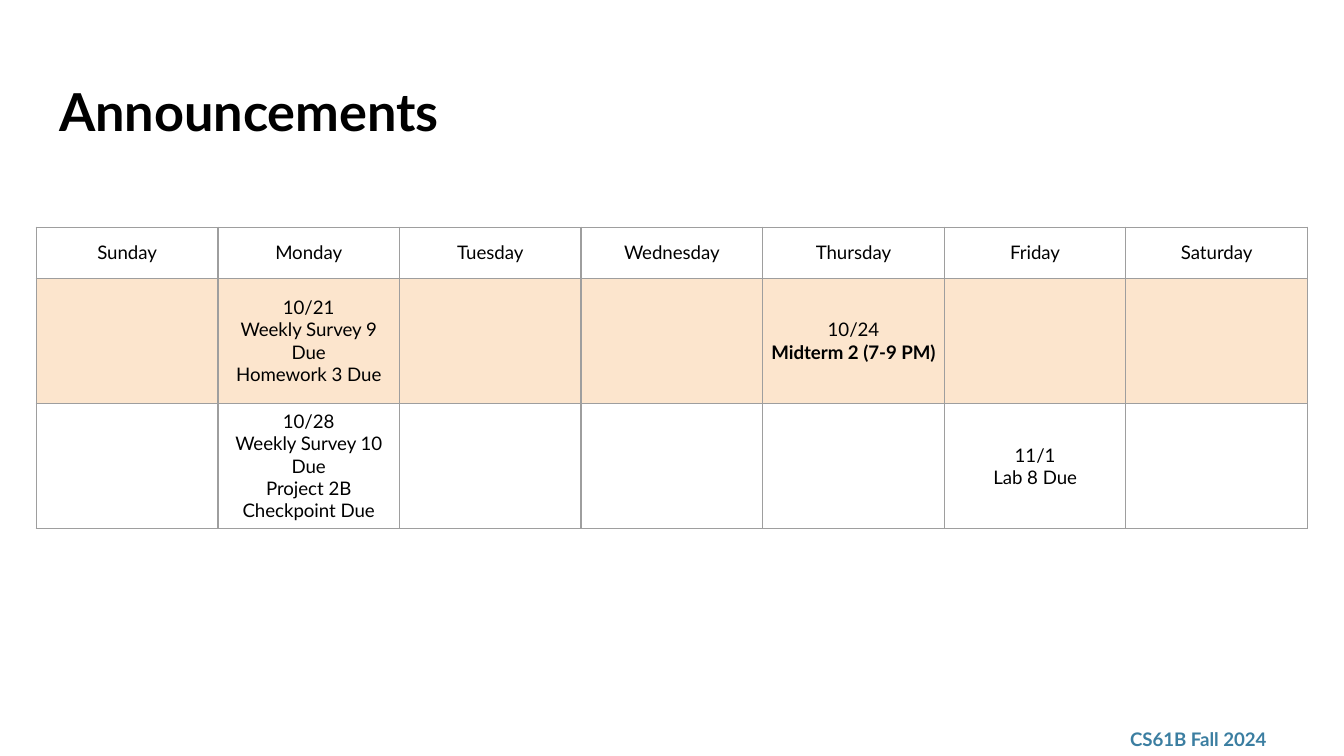
from lxml import etree
from pptx import Presentation
from pptx.dml.color import RGBColor
from pptx.enum.text import MSO_ANCHOR, PP_ALIGN
from pptx.oxml.ns import qn
from pptx.util import Inches, Pt

TOP, MIDDLE = MSO_ANCHOR.TOP, MSO_ANCHOR.MIDDLE
LEFT, CENTER = PP_ALIGN.LEFT, PP_ALIGN.CENTER
FONT = "Lato"
BLACK, BLUE, PEACH, GRAY = "000000", "3B7EA1", "FCE5CD", "9E9E9E"

SLIDE_WIDTH = 10
SLIDE_HEIGHT = SLIDE_WIDTH * 9 / 16
TABLE_LEFT, TABLE_TOP = 0.27, 1.69
DAYS = ["Sunday", "Monday", "Tuesday", "Wednesday", "Thursday", "Friday", "Saturday"]
COLUMN_WIDTH = (SLIDE_WIDTH - 2 * TABLE_LEFT) / len(DAYS)
ROW_HEIGHTS = [0.38, 0.93, 0.93]
# (week row, day) -> lines of the entry
EVENTS = {
    (1, "Monday"): ["10/21", "Weekly Survey 9 Due", "Homework 3 Due"],
    (1, "Thursday"): ["10/24", "Midterm 2 (7-9 PM)"],
    (2, "Monday"): ["10/28", "Weekly Survey 10 Due", "Project 2B Checkpoint Due"],
    (2, "Friday"): ["11/1", "Lab 8 Due"],
}
BOLD_LINES = {"Midterm 2 (7-9 PM)"}
CURRENT_WEEK = 1


def color(value):
    return RGBColor.from_string(value)


def set_attributes(target, values):
    for name, value in values.items():
        setattr(target, name, value)


def equal_margins(size):
    return {f"margin_{side}": Inches(size) for side in ("left", "top", "right", "bottom")}


def write_lines(frame, lines, size, shade=BLACK, bold=False, align=LEFT):
    """Write one paragraph per line into a text frame."""
    for index, line in enumerate(lines):
        para = frame.paragraphs[0] if index == 0 else frame.add_paragraph()
        para.alignment = align
        span = para.add_run()
        span.text = line
        set_attributes(span.font, {"name": FONT, "size": Pt(size),
                                   "bold": bold or line in BOLD_LINES})
        span.font.color.rgb = color(shade)


def format_box(box, place, anchor):
    sides = ("left", "top", "width", "height")
    set_attributes(box, {side: Inches(value) for side, value in zip(sides, place)})
    set_attributes(box.text_frame, {"word_wrap": True, "vertical_anchor": anchor,
                                    **equal_margins(0.1)})


def add_borders(cell):
    """Cell borders must stand before the fill in the cell properties."""
    properties = cell._tc.get_or_add_tcPr()
    for index, side in enumerate(("lnL", "lnR", "lnT", "lnB")):
        line = etree.Element(qn(f"a:{side}"), w=str(Pt(0.75)))
        fill = etree.SubElement(line, qn("a:solidFill"))
        etree.SubElement(fill, qn("a:srgbClr"), val=GRAY)
        properties.insert(index, line)


def format_cell(cell, lines, fill):
    set_attributes(cell, {"vertical_anchor": MIDDLE, **equal_margins(0.05)})
    if fill:
        cell.fill.solid()
        cell.fill.fore_color.rgb = color(fill)
    else:
        cell.fill.background()
    add_borders(cell)
    write_lines(cell.text_frame, lines, 10, align=CENTER)


def add_calendar(page):
    frame = page.shapes.add_table(
        len(ROW_HEIGHTS), len(DAYS), Inches(TABLE_LEFT), Inches(TABLE_TOP),
        Inches(COLUMN_WIDTH * len(DAYS)), Inches(sum(ROW_HEIGHTS)))
    table = frame.table
    set_attributes(table, {"first_row": False, "horz_banding": False})
    for column in table.columns:
        column.width = Inches(COLUMN_WIDTH)
    for row_index, height in enumerate(ROW_HEIGHTS):
        table.rows[row_index].height = Inches(height)
        fill = PEACH if row_index == CURRENT_WEEK else None
        for column_index, day in enumerate(DAYS):
            lines = [day] if row_index == 0 else EVENTS.get((row_index, day), [])
            format_cell(table.cell(row_index, column_index), lines, fill)


def main():
    deck = Presentation()
    set_attributes(deck, {"slide_width": Inches(SLIDE_WIDTH),
                          "slide_height": Inches(SLIDE_HEIGHT)})
    page = deck.slides.add_slide(deck.slide_layouts[5])

    # Course footer
    footer = page.shapes.add_textbox(0, 0, 0, 0)
    format_box(footer, (8.31, 5.37, 1.35, 0.26), MIDDLE)
    write_lines(footer.text_frame, ["CS61B Fall 2024"], 10, BLUE, bold=True)

    # Title
    title = page.shapes.title
    format_box(title, (0.34, 0.49, 9.32, 0.63), TOP)
    write_lines(title.text_frame, ["Announcements"], 28, bold=True)

    # Two-week calendar
    add_calendar(page)
    deck.save("out.pptx")


if __name__ == "__main__":
    main()
